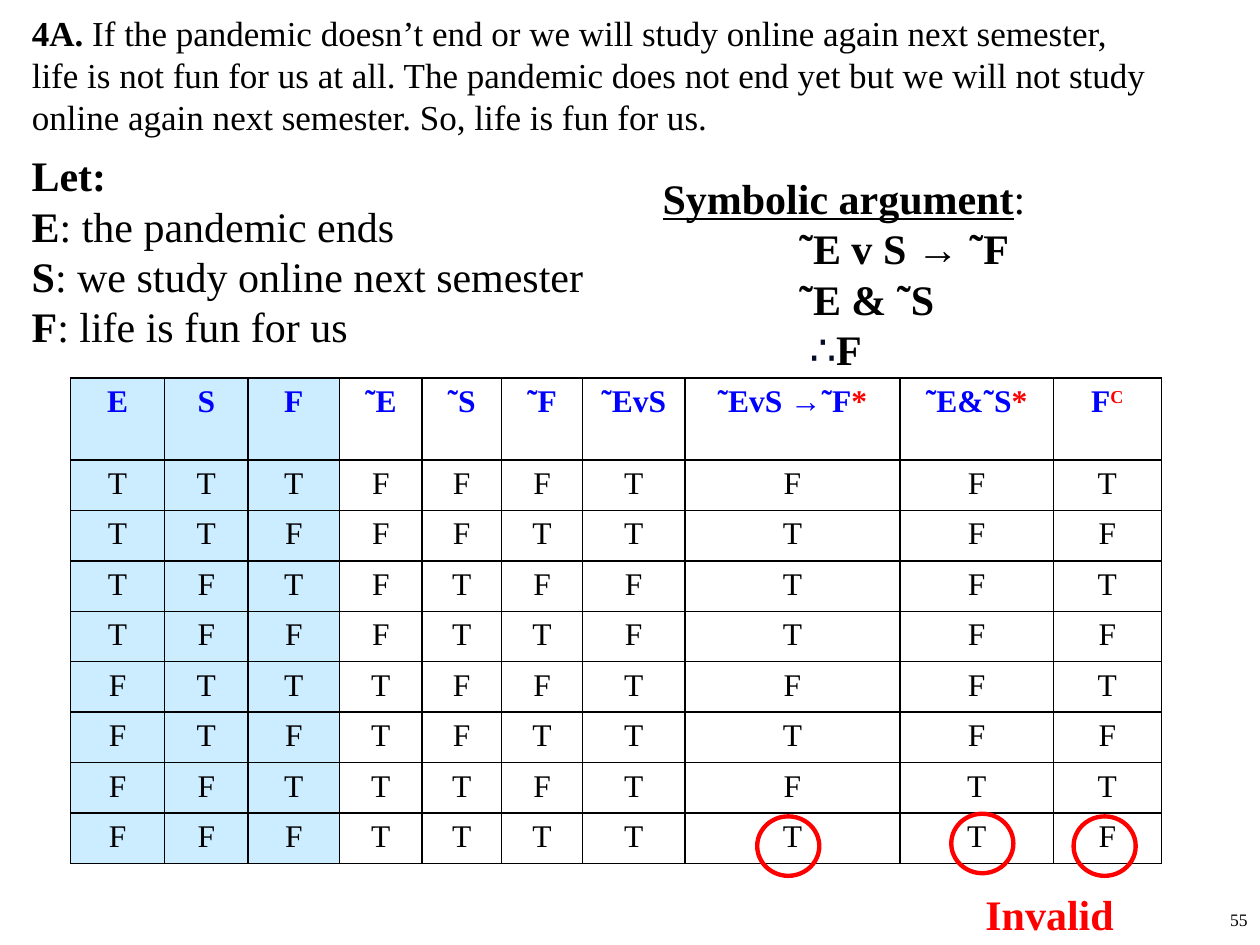
from dataclasses import dataclass
from itertools import product

from lxml.etree import SubElement
from pptx import Presentation
from pptx.dml.color import RGBColor
from pptx.enum.shapes import MSO_SHAPE
from pptx.enum.text import MSO_AUTO_SIZE, PP_ALIGN
from pptx.oxml import parse_xml
from pptx.oxml.ns import nsdecls, qn
from pptx.util import Pt


@dataclass(frozen=True)
class Theme:
    font: str = "Times New Roman"
    symbol_font: str = "Karla"
    ink: str = "000000"
    symbol: str = "040C28"
    heading: str = "0000FF"
    accent: str = "FF0000"
    input_fill: str = "CCECFF"
    large: int = 24
    body: int = 20
    cell: int = 18
    small: int = 10


theme = Theme()


def add_run(paragraph, text, size, color=theme.ink, bold=False, font=theme.font):
    run = paragraph.add_run()
    run.text = text
    run.font.name = font
    run.font.size = Pt(size)
    run.font.bold = bold
    run.font.color.rgb = RGBColor.from_string(color)
    return run


def add_text_box(left, top, width, height, lines=1):
    """Return the paragraphs of a new wrapping text box."""
    frame = slide.shapes.add_textbox(Pt(left), Pt(top), Pt(width), Pt(height)).text_frame
    frame.word_wrap = True
    for _ in range(lines - 1):
        frame.add_paragraph()
    return frame.paragraphs


presentation = Presentation()
presentation.slide_width, presentation.slide_height = Pt(720), Pt(540)
slide = presentation.slides.add_slide(presentation.slide_layouts[1])
title = slide.shapes.title
title.element.getparent().remove(title.element)

# Page number
[paragraph] = add_text_box(570, 516, 150, 24)
paragraph.alignment = PP_ALIGN.RIGHT
add_run(paragraph, "55", theme.small)

# Symbolic argument
argument = add_text_box(371.5, 95, 348, 124, 4)
heading_run = add_run(argument[0], "Symbolic argument", theme.large, bold=True)
heading_run.font.underline = True
add_run(argument[0], ":", theme.large)
for paragraph, indent in zip(argument[1:], (78, 78, 84)):
    paragraph._p.get_or_add_pPr().set("marL", str(Pt(indent)))
add_run(argument[1], "˜E v S → ˜F", theme.large, bold=True)
add_run(argument[2], "˜E & ˜S", theme.large, bold=True)
add_run(argument[3], "∴", theme.large, theme.symbol, font=theme.symbol_font)
add_run(argument[3], "F", theme.large, bold=True)

# Key to the letters
key = add_text_box(11, 82, 398, 153, 4)
key_texts = [
    ("Let:", ""),
    ("E", ": the pandemic ends"),
    ("S", ": we study online next semester"),
    ("F", ": life is fun for us"),
]
for paragraph, (letter, meaning) in zip(key, key_texts):
    add_run(paragraph, letter, theme.large, bold=True)
    if meaning:
        add_run(paragraph, meaning, theme.large)
for paragraph in (*argument, *key):
    paragraph.line_spacing = Pt(28.8)

# Exercise
exercise = slide.placeholders[1]
exercise.left, exercise.top, exercise.width, exercise.height = Pt(11), Pt(3), Pt(659), Pt(88.5)
exercise.text_frame.auto_size = MSO_AUTO_SIZE.NONE
paragraph = exercise.text_frame.paragraphs[0]
properties = paragraph._p.get_or_add_pPr()
properties.set("marL", "0")
properties.set("indent", "0")
SubElement(properties, qn("a:buNone"))
paragraph.space_before = Pt(0)
paragraph.line_spacing = Pt(24)
add_run(paragraph, "4A.", theme.body, bold=True)
add_run(
    paragraph,
    " If the pandemic doesn’t end or we will study online again next semester, "
    "life is not fun for us at all. The pandemic does not end yet but we will not "
    "study online again next semester. So, life is fun for us.",
    theme.body,
)

# Truth table: each heading is its text and a red mark
headings = [
    ("E", ""), ("S", ""), ("F", ""), ("˜E", ""), ("˜S", ""), ("˜F", ""),
    ("˜EvS", ""), ("˜EvS →˜F", "*"), ("˜E&˜S", "*"), ("F", "C"),
]
column_widths = [53.8, 47.7, 52.3, 47.1, 45.4, 46.4, 58.5, 122.9, 87.7, 61.7]
row_heights = [46.8] + [28.8] * 8
truth_rows = []
for e, s, f in product((True, False), repeat=3):
    premise = not e or s
    truth_rows.append(
        [e, s, f, not e, not s, not f, premise, not premise or not f, not e and not s, f]
    )

table = slide.shapes.add_table(
    len(row_heights), len(column_widths), Pt(40.3), Pt(216),
    Pt(sum(column_widths)), Pt(sum(row_heights)),
).table
table.first_row = table.horz_banding = False
for column, width in zip(table.columns, column_widths):
    column.width = Pt(width)
for row, height in zip(table.rows, row_heights):
    row.height = Pt(height)

for row_index, row in enumerate(table.rows):
    for column_index, cell in enumerate(row.cells):
        paragraph = cell.text_frame.paragraphs[0]
        paragraph.alignment = PP_ALIGN.CENTER
        if row_index == 0:
            text, mark = headings[column_index]
            add_run(paragraph, text, theme.cell, theme.heading, bold=True)
            if mark:
                mark_run = add_run(paragraph, mark, theme.cell, theme.accent, bold=True)
                if mark == "C":
                    mark_run._r.get_or_add_rPr().set("baseline", "30000")
        else:
            value = truth_rows[row_index - 1][column_index]
            add_run(paragraph, "T" if value else "F", theme.cell)
        cell_properties = cell._tc.get_or_add_tcPr()
        for side in ("lnL", "lnR", "lnT", "lnB"):
            cell_properties.append(parse_xml(
                f'<a:{side} {nsdecls("a")} w="{Pt(1)}"><a:solidFill>'
                f'<a:srgbClr val="{theme.ink}"/></a:solidFill></a:{side}>'
            ))
        if column_index < 3:
            cell.fill.solid()
            cell.fill.fore_color.rgb = RGBColor.from_string(theme.input_fill)
        else:
            cell.fill.background()

# Verdict and the circled values behind it
[paragraph] = add_text_box(556, 504, 132, 36)
paragraph.line_spacing = Pt(28.8)
add_run(paragraph, "Invalid", theme.large, theme.accent, bold=True)

for left, top in ((432.7, 466.5), (543.6, 465), (613.5, 466.5)):
    circle = slide.shapes.add_shape(MSO_SHAPE.OVAL, Pt(left), Pt(top), Pt(35.5), Pt(34))
    circle.shadow.inherit = False
    circle.fill.background()
    circle.line.color.rgb = RGBColor.from_string(theme.accent)
    circle.line.width = Pt(2.5)

presentation.save("out.pptx")
